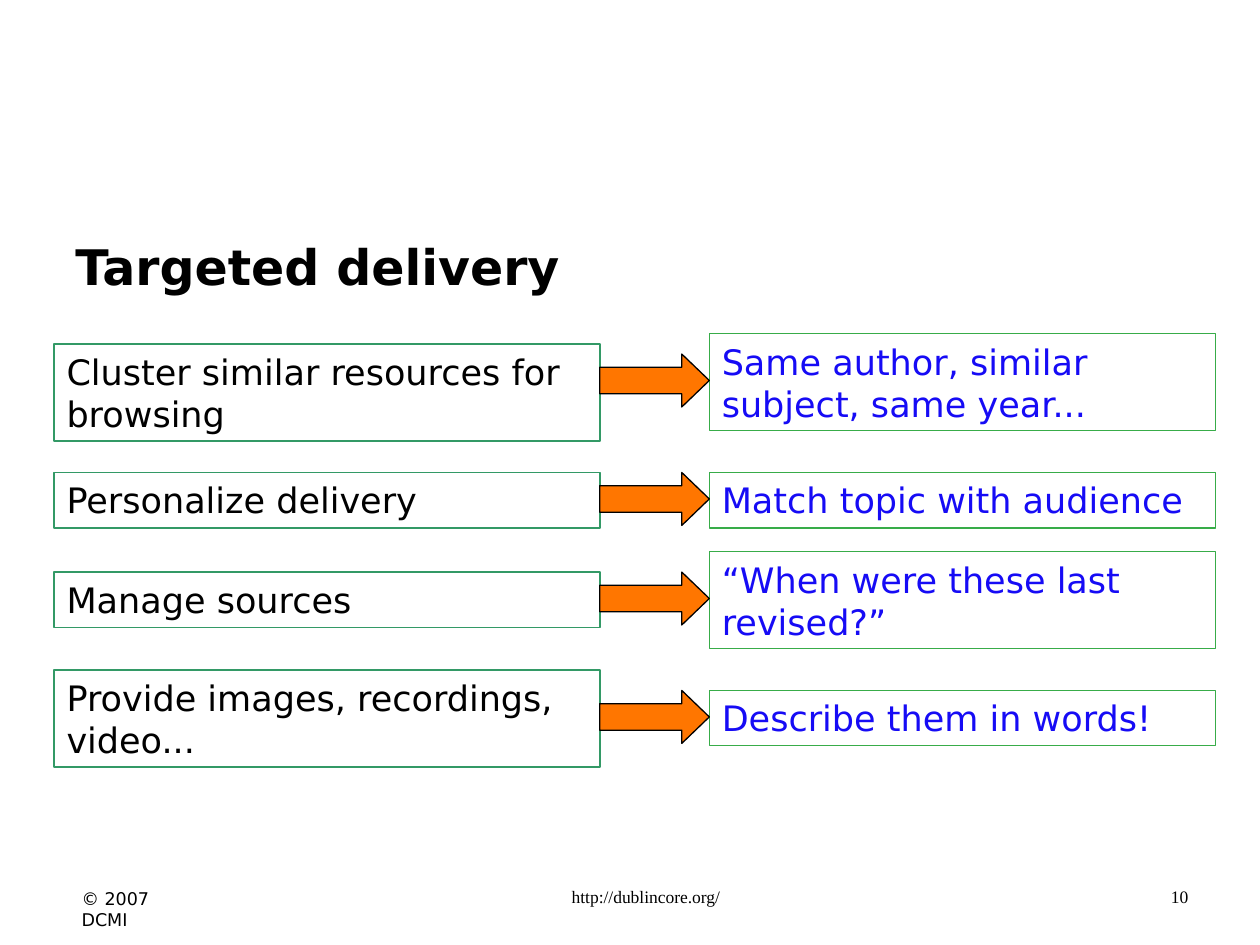
"""Build the "Targeted delivery" slide with four goal-to-metadata rows."""
import pptx
import pptx.dml.color
import pptx.enum.shapes
import pptx.enum.text
import pptx.util

Inches, Pt = pptx.util.Inches, pptx.util.Pt
RGBColor = pptx.dml.color.RGBColor
SHAPE = pptx.enum.shapes.MSO_SHAPE
ALIGN = pptx.enum.text.PP_ALIGN
ANCHOR = pptx.enum.text.MSO_ANCHOR

BLACK = RGBColor(0x00, 0x00, 0x00)
BLUE = RGBColor(0x16, 0x0B, 0xF5)
GREEN = RGBColor(0x33, 0x99, 0x66)
LIGHT_GREEN = RGBColor(0x38, 0xAC, 0x49)
ORANGE = RGBColor(0xFF, 0x76, 0x00)
SANS, SERIF = "DejaVu Sans", "Times New Roman"

TITLE = "Targeted delivery"
ONE_LINE, TWO_LINES = 0.44, 0.77
ROWS = [
    ("Cluster similar resources for browsing", 2.73, TWO_LINES,
     "Same author, similar subject, same year...", 2.65, TWO_LINES, 2.81),
    ("Personalize delivery", 3.75, ONE_LINE,
     "Match topic with audience", 3.75, ONE_LINE, 3.75),
    ("Manage sources", 4.54, ONE_LINE,
     "“When were these last revised?”", 4.38, TWO_LINES, 4.54),
    ("Provide images, recordings, video...", 5.32, TWO_LINES,
     "Describe them in words!", 5.48, ONE_LINE, 5.48),
]
FOOTERS = [
    ("© 2007 DCMI", (0.55, 7, 1.06, 0.27), SANS, ALIGN.LEFT, 0.1),
    ("http://dublincore.org/", (3.42, 6.98, 3.17, 0.37), SERIF, ALIGN.CENTER, 0.34),
    ("10", (7.2, 6.98, 2.33, 0.36), SERIF, ALIGN.RIGHT, 0.34),
]

GOAL_LEFT, GOAL_WIDTH = 0.43, 4.33
ARROW_LEFT, ARROW_WIDTH, ARROW_HEIGHT = GOAL_LEFT + GOAL_WIDTH, 0.87, 0.42
ANSWER_LEFT, ANSWER_WIDTH = ARROW_LEFT + ARROW_WIDTH, 4.02


def write(sp, text, size, color=BLACK, font=SANS, bold=False, align=ALIGN.LEFT, margin=0.1):
    tf = sp.text_frame
    tf.word_wrap = True
    tf.vertical_anchor = ANCHOR.TOP
    tf.margin_left = Inches(margin)
    p = tf.paragraphs[0]
    p.alignment = align
    r = p.add_run()
    r.text = text
    r.font.name, r.font.size, r.font.bold = font, Pt(size), bold
    r.font.color.rgb = color


def add_text(s, box, text, size, **style):
    sp = s.shapes.add_textbox(*map(Inches, box))
    write(sp, text, size, **style)


def add_outlined(s, kind, box, line, width, fill=None):
    sp = s.shapes.add_shape(kind, *map(Inches, box))
    sp.shadow.inherit = False
    sp.line.color.rgb, sp.line.width = line, Pt(width)
    if fill is None:
        sp.fill.background()
    else:
        sp.fill.solid()
        sp.fill.fore_color.rgb = fill
    return sp


def add_row(s, goal, goal_top, goal_height, answer, answer_top, answer_height, arrow_top):
    sp = add_outlined(s, SHAPE.RECTANGLE, (GOAL_LEFT, goal_top, GOAL_WIDTH, goal_height), GREEN, 1)
    write(sp, goal, 20)
    sp = add_outlined(s, SHAPE.RECTANGLE, (ANSWER_LEFT, answer_top, ANSWER_WIDTH, answer_height),
                      LIGHT_GREEN, 0.75)
    write(sp, answer, 20, BLUE)
    sp = add_outlined(s, SHAPE.RIGHT_ARROW, (ARROW_LEFT, arrow_top, ARROW_WIDTH, ARROW_HEIGHT),
                      BLACK, 0.75, ORANGE)
    sp.adjustments[0], sp.adjustments[1] = 0.5, 0.52


def main():
    prs = pptx.Presentation()
    prs.slide_width, prs.slide_height = Inches(10), Inches(7.5)
    s = prs.slides.add_slide(prs.slide_layouts[6])
    add_text(s, (0.5, 1.83, 9, 1), TITLE, 28, bold=True)
    for row in ROWS:
        add_row(s, *row)
    for text, box, font, align, margin in FOOTERS:
        add_text(s, box, text, 10, font=font, align=align, margin=margin)
    prs.save("out.pptx")


if __name__ == "__main__":
    main()
